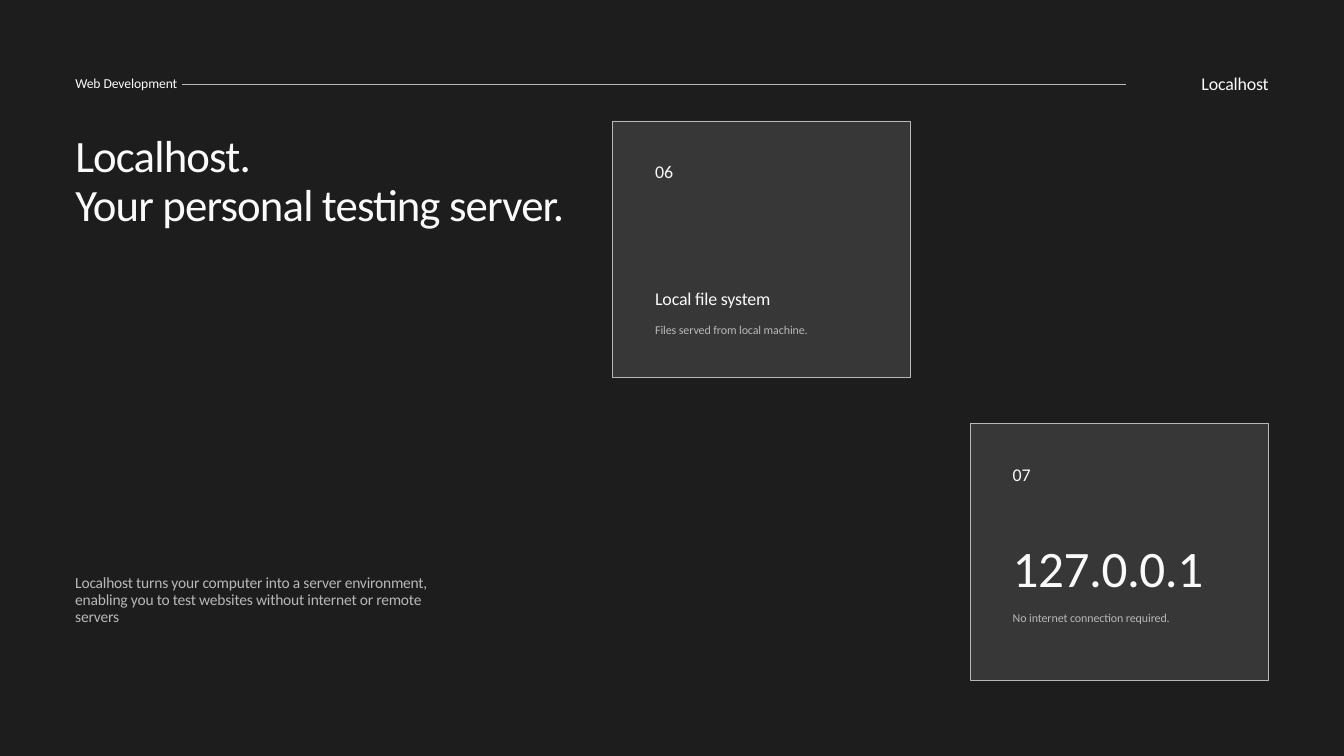
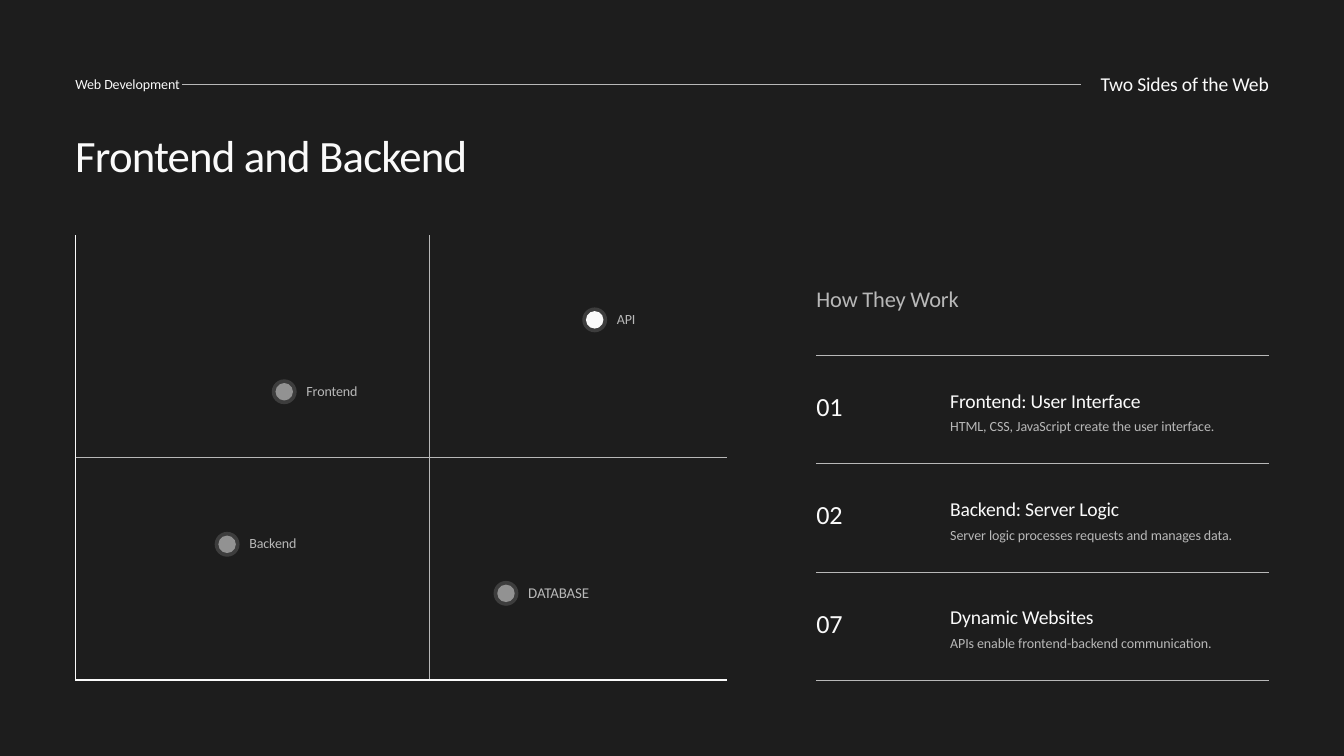
import pptx
import pptx.dml.color
import pptx.enum.shapes
import pptx.enum.text
import pptx.util
from lxml import etree
from pptx.oxml.ns import qn

Inches, Pt = pptx.util.Inches, pptx.util.Pt
RGB = pptx.dml.color.RGBColor.from_string
SHAPE = pptx.enum.shapes.MSO_SHAPE
ALIGN = pptx.enum.text.PP_ALIGN


class Theme:
    background, panel, light, muted = "1D1D1D", "373737", "FAFAFA", "B8B8B8"
    font = "Calibri"
    leading = 1.1
    thin, thick = 0.75, 1.5
    # style: (size in points, colour, letter spacing in points)
    styles = {
        "title": (48, light, -0.9),
        "address": (54.8, light, -0.5),
        "section_small": (14.6, light, -0.1),
        "section": (15, light, -0.1),
        "topic_small": (19.2, light, -0.2),
        "topic": (21, light, -0.2),
        "summary": (16.6, muted, -0.2),
        "card_note": (12.8, muted, -0.1),
        "list_title": (24, muted, -0.2),
        "number": (28, light, -0.3),
        "note": (15, muted, -0.1),
        "caps": (16, muted, -0.1),
    }


LEFT, RIGHT, BOTTOM = 1.12, 18.88, 10.12
SECTION = "Web Development"

CARD_W, CARD_H, CARD_PAD = 4.43, 3.82, 0.63
# left, top, then (text, style, distance below the card top)
CARDS = [
    (9.12, 1.8, [("06", "topic_small", 0.62),
                 ("Local file system", "topic_small", 2.51),
                 ("Files served from local machine.", "card_note", 3.02)]),
    (14.44, 6.3, [("07", "topic_small", 0.62),
                  ("127.0.0.1", "address", 1.76),
                  ("No internet connection required.", "card_note", 2.81)]),
]
SUMMARY = ("Localhost turns your computer into a server environment, enabling "
           "you to test websites without internet or remote servers")

# label, style, centre x, centre y, label width, core opacity in percent
POINTS = [
    ("Frontend", "note", 4.23, 5.83, 1.18, 45),
    ("Backend", "note", 3.38, 8.1, 1.18, 45),
    ("DATABASE", "caps", 7.53, 8.83, 1.18, 45),
    ("API", "note", 8.85, 4.76, 0.5, 100),
]
HALO, CORE, HALO_OPACITY, LABEL_GAP = 0.37, 0.26, 15, 0.33
MAP_TOP, MAP_RIGHT, MAP_SPLIT_X, MAP_SPLIT_Y = 3.5, 10.82, 6.39, 6.81

STEPS = [
    ("01", "Frontend: User Interface",
     "HTML, CSS, JavaScript create the user interface."),
    ("02", "Backend: Server Logic",
     "Server logic processes requests and manages data."),
    ("07", "Dynamic Websites",
     "APIs enable frontend-backend communication."),
]
LIST_LEFT, LIST_TEXT, LIST_TOP, STEP_H = 12.15, 14.14, 5.29, 1.61


def text_height(style):
    return Theme.styles[style][0] * 1.13 / 72


def add_text(s, text, style, x, y, w, h=None, align=ALIGN.LEFT):
    size, color, spacing = Theme.styles[style]
    box = s.shapes.add_textbox(Inches(x), Inches(y), Inches(w),
                               Inches(h or text_height(style)))
    tf = box.text_frame
    tf.word_wrap = True
    tf.auto_size = pptx.enum.text.MSO_AUTO_SIZE.SHAPE_TO_FIT_TEXT
    tf.margin_left = tf.margin_top = tf.margin_right = tf.margin_bottom = 0
    tf.text = text
    for p in tf.paragraphs:
        p.alignment = align
        p.line_spacing = Pt(round(size * Theme.leading, 1))
        p.font.size = Pt(size)
        p.font.name = Theme.font
        p.font.color.rgb = RGB(color)
        for r in p.runs:
            r.font._element.set("spc", str(round(spacing * 100)))


def add_line(s, x1, y1, x2, y2, color=Theme.muted, width=Theme.thin):
    line = s.shapes.add_connector(pptx.enum.shapes.MSO_CONNECTOR.STRAIGHT,
                                  Inches(x1), Inches(y1), Inches(x2), Inches(y2))
    line.line.color.rgb = RGB(color)
    line.line.width = Pt(width)
    etree.SubElement(line._element.spPr, qn("a:effectLst"))


def add_filled(s, kind, x, y, w, h, color):
    sp = s.shapes.add_shape(kind, Inches(x), Inches(y), Inches(w), Inches(h))
    sp.shadow.inherit = False
    sp.fill.solid()
    sp.fill.fore_color.rgb = RGB(color)
    sp.line.fill.background()
    return sp


def add_disc(s, cx, cy, size, opacity):
    sp = add_filled(s, SHAPE.OVAL, cx - size / 2, cy - size / 2, size, size,
                    Theme.light)
    if opacity < 100:
        color = sp._element.spPr.find(qn("a:solidFill"))[0]
        etree.SubElement(color, qn("a:alpha"), val=str(opacity * 1000))


def add_base(prs, topic, topic_left, rule_end, title, title_w, title_h=None,
             suffix=""):
    """Add a slide with its background, header line and title."""
    s = prs.slides.add_slide(prs.slide_layouts[6])
    s.background.fill.solid()
    s.background.fill.fore_color.rgb = RGB(Theme.background)
    add_text(s, SECTION, "section" + suffix, LEFT, 1.14, 1.69)
    add_line(s, 2.71, 1.26, rule_end, 1.26)
    topic_style = "topic" + suffix
    add_text(s, topic, topic_style, topic_left,
             1.26 - text_height(topic_style) / 2, RIGHT - topic_left,
             align=ALIGN.RIGHT)
    add_text(s, title, "title", LEFT, 1.97, title_w, title_h)
    return s


def add_localhost(prs):
    s = add_base(prs, "Localhost", 16.75, 16.75,
                 "Localhost.\nYour personal testing server.", 7.78, 2.21,
                 suffix="_small")
    add_text(s, SUMMARY, "summary", LEFT, 8.55, 5.6, 0.76)
    for x, y, texts in CARDS:
        card = add_filled(s, SHAPE.RECTANGLE, x, y, CARD_W, CARD_H, Theme.panel)
        card.line.color.rgb = RGB(Theme.muted)
        card.line.width = Pt(Theme.thin)
        for text, style, offset in texts:
            add_text(s, text, style, x + CARD_PAD, y + offset,
                     CARD_W - 2 * CARD_PAD)


def add_map(s):
    add_line(s, LEFT, MAP_SPLIT_Y, MAP_RIGHT, MAP_SPLIT_Y)
    add_line(s, MAP_SPLIT_X, BOTTOM, MAP_SPLIT_X, MAP_TOP)
    add_line(s, LEFT, BOTTOM, MAP_RIGHT, BOTTOM, Theme.light, Theme.thick)
    add_line(s, LEFT, BOTTOM, LEFT, MAP_TOP, Theme.light, Theme.thick)
    for label, style, cx, cy, w, opacity in POINTS:
        add_disc(s, cx, cy, HALO, HALO_OPACITY)
        add_disc(s, cx, cy, CORE, opacity)
        add_text(s, label, style, cx + LABEL_GAP, cy - text_height(style) / 2, w)


def add_steps(s):
    add_text(s, "How They Work", "list_title", LIST_LEFT, 4.28, 4.73)
    for i in range(len(STEPS) + 1):
        y = LIST_TOP + i * STEP_H
        add_line(s, LIST_LEFT, y, RIGHT, y)
    for i, (number, heading, note) in enumerate(STEPS):
        y = LIST_TOP + i * STEP_H
        add_text(s, number, "number", LIST_LEFT, y + 0.56, 1.58)
        add_text(s, heading, "topic", LIST_TEXT, y + 0.52, 3.88)
        add_text(s, note, "note", LIST_TEXT, y + 0.95, 4.73)


def main():
    prs = pptx.Presentation()
    prs.slide_width, prs.slide_height = Inches(20), Inches(11.25)
    add_localhost(prs)
    s = add_base(prs, "Two Sides of the Web", 16.08, 16.08,
                 "Frontend and Backend", 10.54)
    add_map(s)
    add_steps(s)
    prs.save("out.pptx")


if __name__ == "__main__":
    main()
